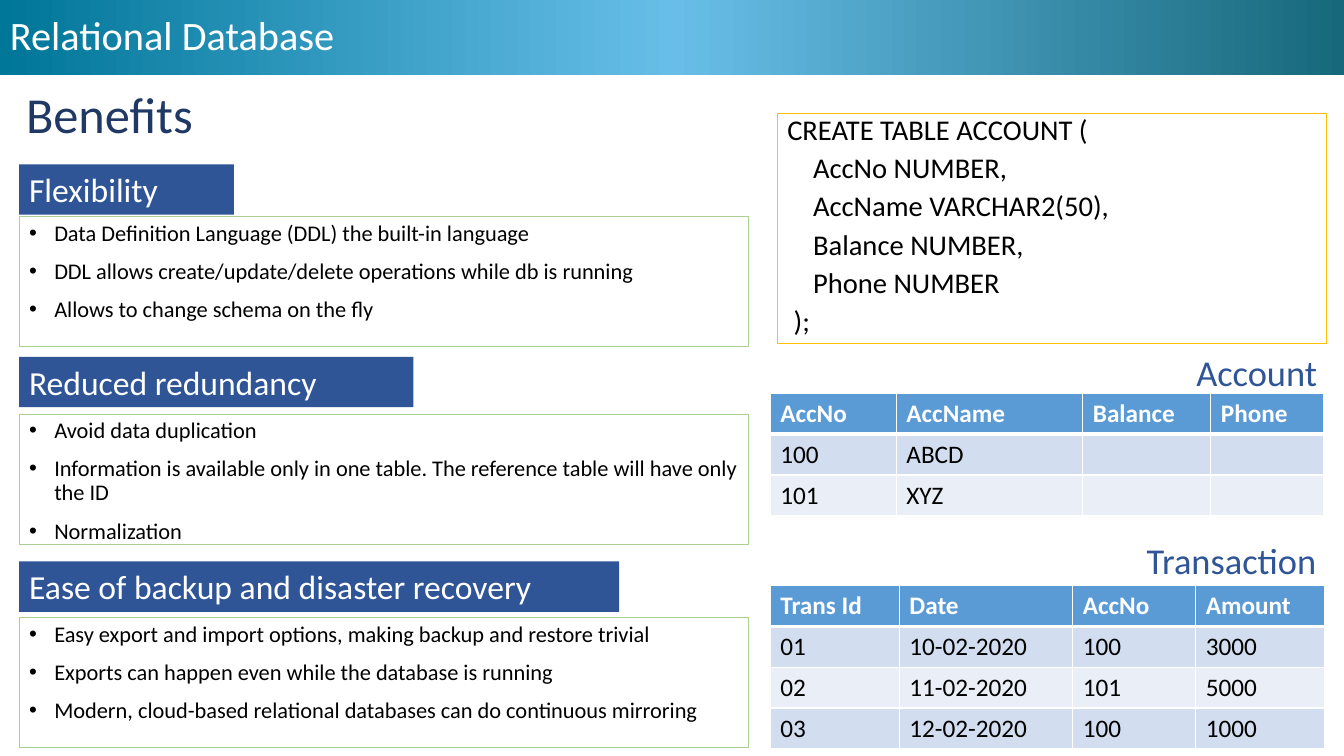
import pptx
import pptx.util
import pptx.dml.color
import pptx.enum.shapes
import pptx.enum.text
import pptx.oxml
import pptx.oxml.ns

Inches = pptx.util.Inches
Pt = pptx.util.Pt
ALIGN = pptx.enum.text.PP_ALIGN
ANCHOR = pptx.enum.text.MSO_ANCHOR

COLORS = {
    "white": "FFFFFF", "black": "000000", "navy": "203864", "blue": "2F5597",
    "green": "A9D18E", "gold": "FFC000", "head": "5B9BD5",
    "odd": "D2DEEF", "even": "EAEFF7",
    "teal": "007698", "sky": "67BEE8", "deep": "17687B",
}


def make(xml):
    """Parse one drawing element, with its namespace filled in."""
    return pptx.oxml.parse_xml(xml.replace(">", " " + pptx.oxml.ns.nsdecls("a") + ">", 1))


class Deck:
    def __init__(self, slide):
        self.slide = slide
        self.font = "Calibri"

    def color(self, name):
        return pptx.dml.color.RGBColor.from_string(COLORS[name])

    def style(self, para, size, color, bold=False):
        font = para.font
        font.name, font.size, font.bold = self.font, Pt(size), bold
        font.color.rgb = self.color(color)

    def label(self, shape, lines, size, color, align=ALIGN.LEFT, anchor=ANCHOR.TOP,
              space=None, gap=0, bullet=False, wrap=True):
        """Set the lines as paragraphs of the shape."""
        frame = shape.text_frame
        frame.word_wrap = wrap
        frame.vertical_anchor = anchor
        for i, line in enumerate(lines):
            para = frame.add_paragraph() if i else frame.paragraphs[0]
            para.text = line
            para.alignment = align
            if space:
                para.line_spacing = space
            if i and gap:
                para.space_before = Pt(gap)
            if bullet:
                props = para._p.get_or_add_pPr()
                props.set("marL", str(Inches(0.25)))
                props.set("indent", str(-Inches(0.25)))
                props.append(make('<a:buFont typeface="Arial"></a:buFont>'))
                props.append(make('<a:buChar char="•"></a:buChar>'))
            self.style(para, size, color)

    def text(self, spot, line, size, color, **look):
        box = self.slide.shapes.add_textbox(*map(Inches, spot))
        self.label(box, [line], size, color, **look)

    def box(self, spot, fill=None, line=None):
        shape = self.slide.shapes.add_shape(
            pptx.enum.shapes.MSO_SHAPE.RECTANGLE, *map(Inches, spot))
        shape.shadow.inherit = False
        if fill:
            shape.fill.solid()
            shape.fill.fore_color.rgb = self.color(fill)
        else:
            shape.fill.background()
        if line:
            shape.line.color.rgb = self.color(line)
            shape.line.width = Pt(0.75)
        else:
            shape.line.fill.background()
        return shape

    def banner(self, spot, names):
        """Draw a bar whose colours blend evenly from left to right."""
        shape = self.box(spot)
        shape.fill.gradient()
        shape.fill.gradient_angle = 0
        stops = shape.fill._fill._gradFill.gsLst
        for stop in list(stops):
            stops.remove(stop)
        for i, name in enumerate(names):
            pos = 100000 * i // (len(names) - 1)
            stops.append(make(f'<a:gs><a:srgbClr val="{COLORS[name]}"/></a:gs>'))
            stops[-1].set("pos", str(pos))

    def edge(self, cell, row):
        """Put white lines round a cell, thick below the header."""
        props = cell._tc.get_or_add_tcPr()
        thick = {0: "B", 1: "T"}.get(row)
        for i, side in enumerate("LRTB"):
            line = make(f'<a:ln{side}><a:solidFill><a:srgbClr val="{COLORS["white"]}"/>'
                        f'</a:solidFill></a:ln{side}>')
            line.set("w", str(Pt(3 if side == thick else 1)))
            props.insert(i, line)

    def table(self, spot, widths, rows):
        table = self.slide.shapes.add_table(
            len(rows), len(widths), *map(Inches, spot)).table
        for col, width in zip(table.columns, widths):
            col.width = Inches(width)
        for r, row in enumerate(rows):
            fill = "head" if r == 0 else "odd" if r % 2 else "even"
            for c, value in enumerate(row):
                cell = table.cell(r, c)
                cell.text = value
                self.style(cell.text_frame.paragraphs[0], 18,
                           "black" if r else "white", bold=r == 0)
                cell.fill.solid()
                cell.fill.fore_color.rgb = self.color(fill)
                self.edge(cell, r)


BENEFITS = [
    ("Flexibility", 1.63, 2.13, 2.15, [
        "Data Definition Language (DDL) the built-in language",
        "DDL allows create/update/delete operations while db is running",
        "Allows to change schema on the fly"]),
    ("Reduced redundancy", 3.54, 3.91, 4.11, [
        "Avoid data duplication",
        "Information is available only in one table. "
        "The reference table will have only the ID",
        "Normalization"]),
    ("Ease of backup and disaster recovery", 5.57, 5.95, 6.13, [
        "Easy export and import options, making backup and restore trivial",
        "Exports can happen even while the database is running",
        "Modern, cloud-based relational databases can do continuous mirroring"]),
]
CODE = [
    "CREATE TABLE ACCOUNT (",
    "    AccNo NUMBER,",
    "    AccName VARCHAR2(50),",
    "    Balance NUMBER,",
    "    Phone NUMBER",
    " );",
]
ACCOUNT = [
    ["AccNo", "AccName", "Balance", "Phone"],
    ["100", "ABCD", "", ""],
    ["101", "XYZ", "", ""],
]
TRANS = [
    ["Trans Id", "Date", "AccNo", "Amount"],
    ["01", "10-02-2020", "100", "3000"],
    ["02", "11-02-2020", "101", "5000"],
    ["03", "12-02-2020", "100", "1000"],
]


def main():
    prs = pptx.Presentation()
    prs.slide_width, prs.slide_height = Inches(13.33), Inches(7.5)
    deck = Deck(prs.slides.add_slide(prs.slide_layouts[6]))

    deck.banner((0, 0, 13.33, 0.74), ["teal", "sky", "deep"])
    deck.text((0, 0.09, 11.5, 0.57), "Relational Database", 28.8, "white",
              anchor=ANCHOR.MIDDLE, space=0.9)
    deck.text((0.16, 0.78, 9.26, 0.71), "Benefits", 36, "navy")

    for name, top, width, below, points in BENEFITS:
        deck.label(deck.box((0.19, top, width, 0.5), fill="blue"), [name], 24, "white")
        deck.label(deck.box((0.19, below, 7.23, 1.29), line="green"), points, 16, "black",
                   space=0.9, gap=10, bullet=True)

    deck.label(deck.box((7.71, 1.13, 5.45, 2.28), line="gold"), CODE, 20.4, "black",
               anchor=ANCHOR.MIDDLE, space=0.7, gap=10)

    deck.table((7.64, 3.9, 5.5, 1.22), [1.25, 1.85, 1.27, 1.12], ACCOUNT)
    deck.table((7.64, 5.81, 5.5, 1.62), [1.28, 1.72, 1.22, 1.28], TRANS)
    for name, spot in (("Account", (11.76, 3.42, 1.41, 0.54)),
                       ("Transaction", (11.26, 5.29, 1.91, 0.54))):
        deck.text(spot, name, 26, "blue", align=ALIGN.CENTER, wrap=False)

    prs.save("out.pptx")


if __name__ == "__main__":
    main()
